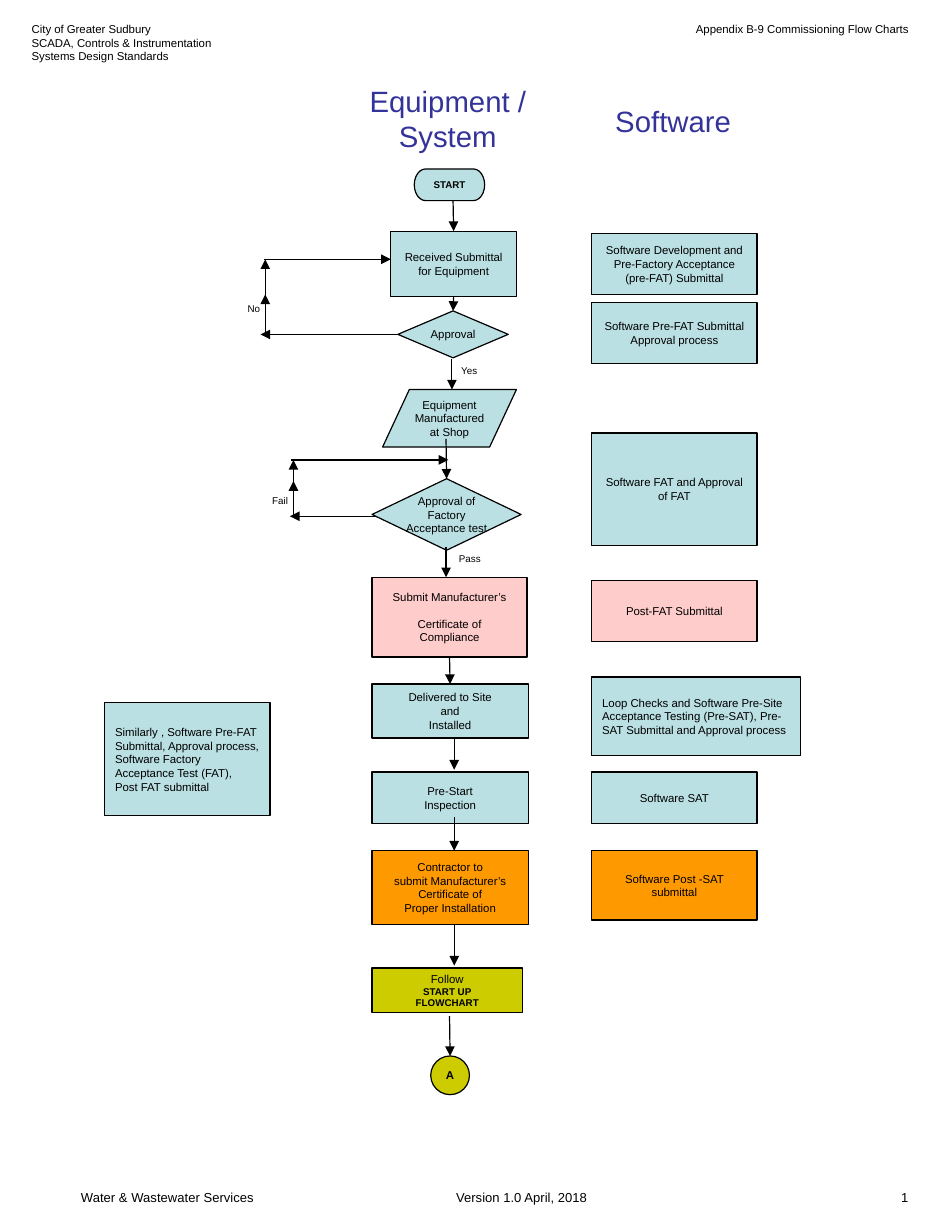
import pptx
import pptx.dml.color
import pptx.enum.shapes
import pptx.enum.text
import pptx.util
from lxml import etree
from pptx.oxml.ns import qn

PX = 9144  # EMU per px, 100 px to the inch
FONT = "Arial"
BLACK = pptx.dml.color.RGBColor(0x00, 0x00, 0x00)
NAVY = pptx.dml.color.RGBColor(0x33, 0x33, 0x99)
TEAL = pptx.dml.color.RGBColor(0xBB, 0xE0, 0xE3)
PINK = pptx.dml.color.RGBColor(0xFF, 0xCC, 0xCC)
ORANGE = pptx.dml.color.RGBColor(0xFF, 0x99, 0x00)
OLIVE = pptx.dml.color.RGBColor(0xCC, 0xCC, 0x00)

SHAPE = pptx.enum.shapes.MSO_SHAPE
ALIGN = pptx.enum.text.PP_ALIGN
ANCHOR = pptx.enum.text.MSO_ANCHOR
LEFT, CENTER, RIGHT = ALIGN.LEFT, ALIGN.CENTER, ALIGN.RIGHT
TOP, LEFT_SIDE, BOTTOM = 0, 1, 2  # connection sites

# name: shape, left, top, width, height, fill, text
EQUIPMENT = {
    "start": (SHAPE.FLOWCHART_TERMINATOR, 353, 144, 60, 27, TEAL, "START"),
    "received": (SHAPE.RECTANGLE, 333, 197, 107, 56, TEAL, "Received Submittal\nfor Equipment"),
    "approval": (SHAPE.FLOWCHART_DECISION, 339, 265, 94, 40, TEAL, "Approval"),
    "made": (SHAPE.FLOWCHART_DATA, 326, 332, 114, 49, TEAL, "Equipment\nManufactured\nat Shop"),
    "factory test": (SHAPE.FLOWCHART_DECISION, 317, 408, 127, 61, TEAL,
                     "Approval of\nFactory\nAcceptance test"),
    "compliance": (SHAPE.FLOWCHART_PROCESS, 317, 492, 132, 68, PINK,
                   "Submit Manufacturer’s\nCertificate of\nCompliance"),
    "delivered": (SHAPE.FLOWCHART_PROCESS, 317, 583, 133, 46, TEAL,
                  "Delivered to Site\nand\nInstalled"),
    "inspection": (SHAPE.FLOWCHART_PROCESS, 317, 658, 133, 44, TEAL, "Pre-Start\nInspection"),
    "installation": (SHAPE.FLOWCHART_PROCESS, 317, 725, 133, 63, ORANGE,
                     "Contractor to\nsubmit Manufacturer’s\nCertificate of\nProper Installation"),
    "start up": (SHAPE.FLOWCHART_PROCESS, 317, 825, 128, 38, OLIVE,
                 "Follow\nSTART UP\nFLOWCHART"),
    "link": (SHAPE.OVAL, 367, 900, 33, 33, OLIVE, "A"),
}

# left, top, width, height, fill, alignment, text
SOFTWARE = [
    (504, 199, 141, 52, TEAL, CENTER,
     "Software Development and Pre-Factory Acceptance (pre-FAT) Submittal"),
    (504, 258, 141, 52, TEAL, CENTER, "Software Pre-FAT Submittal Approval process"),
    (504, 369, 141, 96, TEAL, CENTER, "Software FAT and Approval of FAT"),
    (504, 495, 141, 52, PINK, CENTER, "Post-FAT Submittal"),
    (504, 577, 178, 67, TEAL, LEFT,
     "Loop Checks and Software Pre-Site Acceptance Testing (Pre-SAT), "
     "Pre-SAT Submittal and Approval process"),
    (504, 658, 141, 44, TEAL, CENTER, "Software SAT"),
    (504, 725, 141, 59, ORANGE, CENTER, "Software Post -SAT submittal"),
    (89, 599, 141, 96, TEAL, LEFT,
     "Similarly , Software Pre-FAT Submittal, Approval process, "
     "Software Factory Acceptance Test (FAT),\vPost FAT submittal"),
]

# from x, from y, to x, to y, joined start, joined end
ARROWS = [
    (386, 171, 386, 197, None, ("received", TOP)),
    (386, 253, 386, 265, ("received", BOTTOM), ("approval", TOP)),
    (385, 306, 385, 332, None, None),
    (380, 374, 380, 408, None, ("factory test", TOP)),
    (380, 466, 380, 492, None, None),
    (383, 560, 383, 583, ("compliance", BOTTOM), ("delivered", TOP)),
    (387, 629, 387, 656, None, None),
    (387, 696, 387, 725, None, None),
    (387, 788, 387, 823, None, None),
    (383, 866, 383, 900, None, ("link", TOP)),
    # Loop back when not approved
    (339, 285, 222, 285, ("approval", LEFT_SIDE), None),
    (226, 286, 226, 251, None, None),
    (226, 275, 226, 221, None, None),
    (225, 221, 333, 221, None, None),
    # Loop back when the test fails
    (320, 440, 247, 440, None, None),
    (250, 440, 250, 410, None, None),
    (250, 426, 250, 392, None, None),
    (248, 392, 382, 392, None, None),
]

# left, top, width, height, text, size, alignment, side inset, top inset
TEXTS = [
    (15, 13, 186, 73,
     "City of Greater Sudbury\vSCADA, Controls & Instrumentation Systems Design Standards",
     7, LEFT, 12, 6),
    (533, 13, 253, 37, "Appendix B-9 Commissioning Flow Charts", 7, RIGHT, 12, 6),
    (382, 306, 54, 22, "Yes", 6, LEFT, 11, 6),
    (200, 253, 37, 22, "No", 6, LEFT, 11, 6),
    (221, 417, 60, 22, "Fail", 6, LEFT, 11, 6),
    (380, 466, 62, 22, "Pass", 6, LEFT, 11, 6),
    (56, 1007, 278, 21, "Water & Wastewater Services", 8, LEFT, 13, 7),
    (333, 1007, 223, 21, "Version 1.0 April, 2018", 8, CENTER, 13, 7),
    (600, 1008, 186, 21, "1", 8, RIGHT, 12, 6),
]
HEADINGS = [(289, 78, "Equipment / System"), (481, 80, "Software")]


def px(*lengths):
    return [pptx.util.Emu(length * PX) for length in lengths]


def style_paragraph(para, size, bold=False):
    para.font.size = pptx.util.Pt(size)
    para.font.bold = bold


def write(box, text, size, align, inset, color=BLACK, anchor=ANCHOR.MIDDLE, wrap=True):
    frame = box.text_frame
    frame.word_wrap = wrap
    frame.vertical_anchor = anchor
    frame.margin_left = frame.margin_right = px(inset[0])[0]
    frame.margin_top = frame.margin_bottom = px(inset[1])[0]
    frame.text = text
    for para in frame.paragraphs:
        para.alignment = align
        para.font.name = FONT
        para.font.color.rgb = color
        style_paragraph(para, size)


def add_node(page, kind, bounds, fill, text, align=CENTER, wrap=True):
    node = page.shapes.add_shape(kind, *px(*bounds))
    node.shadow.inherit = False
    node.fill.solid()
    node.fill.fore_color.rgb = fill
    node.line.color.rgb = BLACK
    node.line.width = pptx.util.Pt(0.75)
    write(node, text, 7, align, (9, 4), wrap=wrap)
    return node


def add_label(page, bounds, text, size, align, inset, color=BLACK, anchor=ANCHOR.TOP):
    box = page.shapes.add_textbox(*px(*bounds))
    write(box, text, size, align, inset, color, anchor)


def add_arrow(page, nodes, ends, start, finish):
    arrow = page.shapes.add_connector(pptx.enum.shapes.MSO_CONNECTOR.STRAIGHT, *px(*ends))
    arrow.line.color.rgb = BLACK
    arrow.line.width = pptx.util.Pt(0.75)
    etree.SubElement(arrow.line._get_or_add_ln(), qn("a:tailEnd"), type="triangle")
    etree.SubElement(arrow._element.spPr, qn("a:effectLst"))
    if start:
        arrow.begin_connect(nodes[start[0]], start[1])
    if finish:
        arrow.end_connect(nodes[finish[0]], finish[1])


def main():
    deck = pptx.Presentation()
    deck.slide_width, deck.slide_height = px(800, 1050)
    page = deck.slides.add_slide(deck.slide_layouts[6])

    # Column headings, header, branch labels and footer
    for left, top, text in HEADINGS:
        add_label(page, (left, top, 185, 46), text, 18, CENTER, (12, 6), NAVY, ANCHOR.MIDDLE)
    for *bounds, text, size, align, side, top in TEXTS:
        add_label(page, bounds, text, size, align, (side, top))

    # Equipment column
    nodes = {}
    for name, (kind, *bounds, fill, text) in EQUIPMENT.items():
        nodes[name] = add_node(page, kind, bounds, fill, text, wrap=False)
    style_paragraph(nodes["start"].text_frame.paragraphs[0], 6, True)
    style_paragraph(nodes["link"].text_frame.paragraphs[0], 7, True)
    for para in nodes["start up"].text_frame.paragraphs[1:]:
        style_paragraph(para, 6, True)
    nodes["compliance"].text_frame.paragraphs[1].space_before = pptx.util.Pt(8)

    # Software column and side note
    for *bounds, fill, align, text in SOFTWARE:
        add_node(page, SHAPE.FLOWCHART_PROCESS, bounds, fill, text, align)

    # Flow arrows
    for *ends, start, finish in ARROWS:
        add_arrow(page, nodes, ends, start, finish)

    deck.save("out.pptx")


if __name__ == "__main__":
    main()
